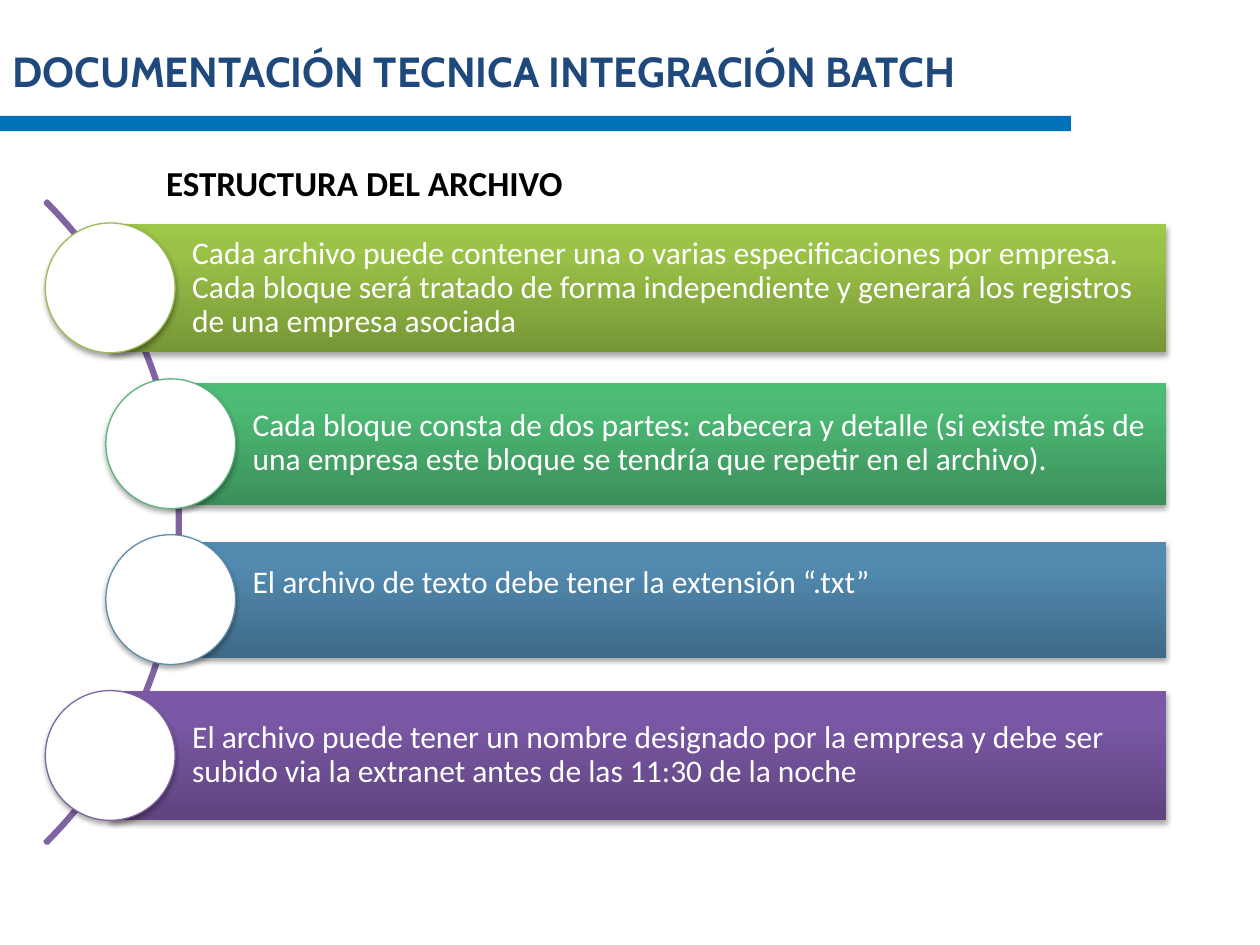
from lxml import etree
from pptx import Presentation
from pptx import util as u
from pptx.dml import color
from pptx.enum import shapes, text
from pptx.oxml import ns, parse_xml

CELL = u.Inches(0.1)
COLUMNS, ROWS = 100, 75
CIRCLE = 10.3
FIRST_CENTER, PITCH = 22.85, 12.37
BAR_RIGHT = 92.55
OUTER, INNER = 8.75, 13.55

STEPS = [
    (OUTER, 10.2, ("779737", "9BC348", "9DC746"), "9BBB59", 0.5,
     "Cada archivo puede contener una o varias especificaciones por empresa. "
     "Cada bloque será tratado de forma independiente y generará los registros "
     "de una empresa asociada"),
    (INNER, 9.7, ("3B8F5A", "4DBA75", "4BBD75"), "5CB37C", 0.5,
     "Cada bloque consta de dos partes: cabecera y detalle (si existe más de "
     "una empresa este bloque se tendría que repetir en el archivo)."),
    (INNER, 9.2, ("3F6A88", "528AB0", "518BB3"), "608CAB", 3.1,
     "El archivo de texto debe tener la extensión “.txt”"),
    (OUTER, 10.2, ("5F4480", "7B58A6", "7C57A8"), "8064A2", 0.5,
     "El archivo puede tener un nombre designado por la empresa y debe ser "
     "subido via la extranet antes de las 11:30 de la noche"),
]


def cells(*counts):
    return [u.Emu(round(count * CELL)) for count in counts]


def rgb(value):
    return color.RGBColor.from_string(value)


def write(shape, words, size, ink, font="Calibri", bold=False, wrap=True,
          anchor=text.MSO_ANCHOR.MIDDLE, insets=(1, 0.5, 1, 0.5), spacing=1.0):
    frame = shape.text_frame
    frame.word_wrap = wrap
    frame.auto_size = text.MSO_AUTO_SIZE.NONE
    frame.vertical_anchor = anchor
    (frame.margin_left, frame.margin_top,
     frame.margin_right, frame.margin_bottom) = cells(*insets)
    para = frame.paragraphs[0]
    para.alignment = text.PP_ALIGN.LEFT
    para.line_spacing = spacing
    span = para.add_run()
    span.text = words
    span.font.name = font
    span.font.size = u.Pt(size)
    span.font.bold = bold
    span.font.color.rgb = rgb(ink)


def add_figure(page, kind, place, fill=None, line=None, width=0.75):
    shape = page.shapes.add_shape(kind, *cells(*place))
    shape.shadow.inherit = False
    if fill:
        shape.fill.solid()
        shape.fill.fore_color.rgb = rgb(fill)
    else:
        shape.fill.background()
    if line:
        shape.line.color.rgb = rgb(line)
        shape.line.width = u.Pt(width)
    else:
        shape.line.fill.background()
    return shape


def shade(shape, colors):
    stops = "".join(
        f'<a:gs pos="{position}"><a:srgbClr val="{value}"/></a:gs>'
        for position, value in zip((0, 80000, 100000), colors))
    gradient = parse_xml(
        f'<a:gradFill {ns.nsdecls("a")} rotWithShape="1"><a:gsLst>{stops}'
        '</a:gsLst><a:lin ang="16200000" scaled="0"/></a:gradFill>')
    properties = shape.element.spPr
    properties.replace(properties.find(ns.qn("a:noFill")), gradient)


def cast_shadow(shape):
    effects = shape.element.spPr.find(ns.qn("a:effectLst"))
    shadow = etree.SubElement(effects, ns.qn("a:outerShdw"), blurRad="40000",
                              dist="23000", dir="5400000", rotWithShape="0")
    tint = etree.SubElement(shadow, ns.qn("a:srgbClr"), val="000000")
    etree.SubElement(tint, ns.qn("a:alpha"), val="35000")


def add_title(page, words):
    title = page.shapes.title
    title.left, title.top, title.width, title.height = cells(0, 1.3, 86.2, 8.6)
    write(title, words, 24, "1F497D", font="Cabin", bold=True)


def add_arc(page):
    arc = add_figure(page, shapes.MSO_SHAPE.BLOCK_ARC,
                     (-57.8, 5.4, 72.1, 72.1), line="8064A2", width=2)
    for index, value in enumerate((189, 27, 0.003)):
        arc.adjustments[index] = value


def add_step(page, index, center_x, height, colors, outline, bottom, words):
    center_y = FIRST_CENTER + index * PITCH
    bar = add_figure(page, shapes.MSO_SHAPE.RECTANGLE,
                     (center_x, center_y - height / 2,
                      BAR_RIGHT - center_x, height))
    shade(bar, colors)
    cast_shadow(bar)
    write(bar, words, 18, "FFFFFF", insets=(6.5, 0.5, 0.5, bottom), spacing=0.9)
    circle = add_figure(page, shapes.MSO_SHAPE.OVAL,
                        (center_x - CIRCLE / 2, center_y - CIRCLE / 2,
                         CIRCLE, CIRCLE), fill="FFFFFF", line=outline)
    cast_shadow(circle)


def add_heading(page, words):
    box = page.shapes.add_textbox(*cells(12.2, 12.3, 33.8, 4.4))
    write(box, words, 20, "000000", bold=True, wrap=False,
          anchor=text.MSO_ANCHOR.TOP)


def main():
    deck = Presentation()
    deck.slide_width, deck.slide_height = cells(COLUMNS, ROWS)
    page = deck.slides.add_slide(deck.slide_layouts.get_by_name("Title Only"))
    add_figure(page, shapes.MSO_SHAPE.RECTANGLE, (-0.4, 9.2, 85.4, 1.2),
               fill="0172B7")
    add_title(page, "DOCUMENTACIÓN TECNICA INTEGRACIÓN BATCH")
    add_arc(page)
    for index, step in enumerate(STEPS):
        add_step(page, index, *step)
    add_heading(page, "ESTRUCTURA DEL ARCHIVO")
    deck.save("out.pptx")


if __name__ == "__main__":
    main()
